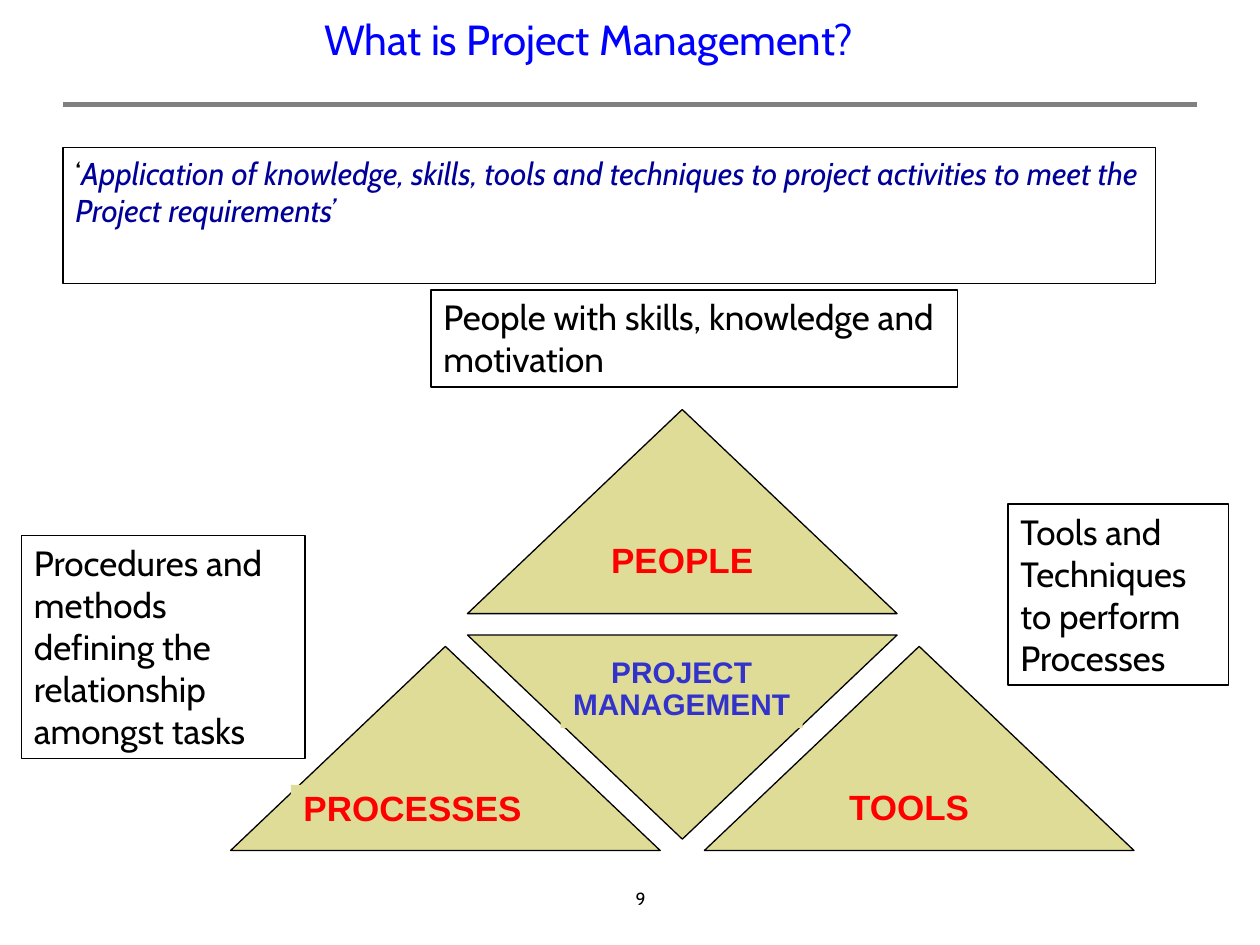
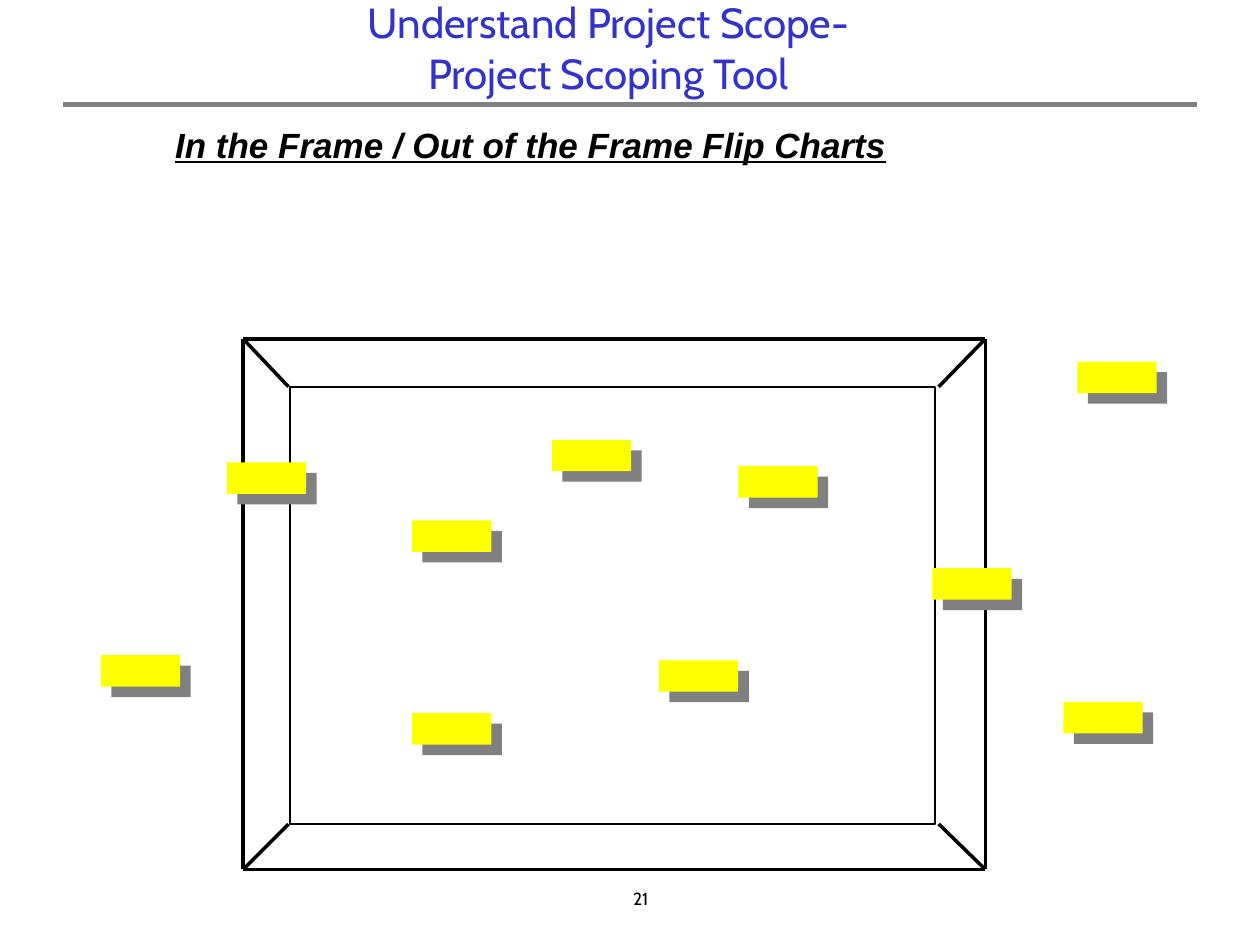
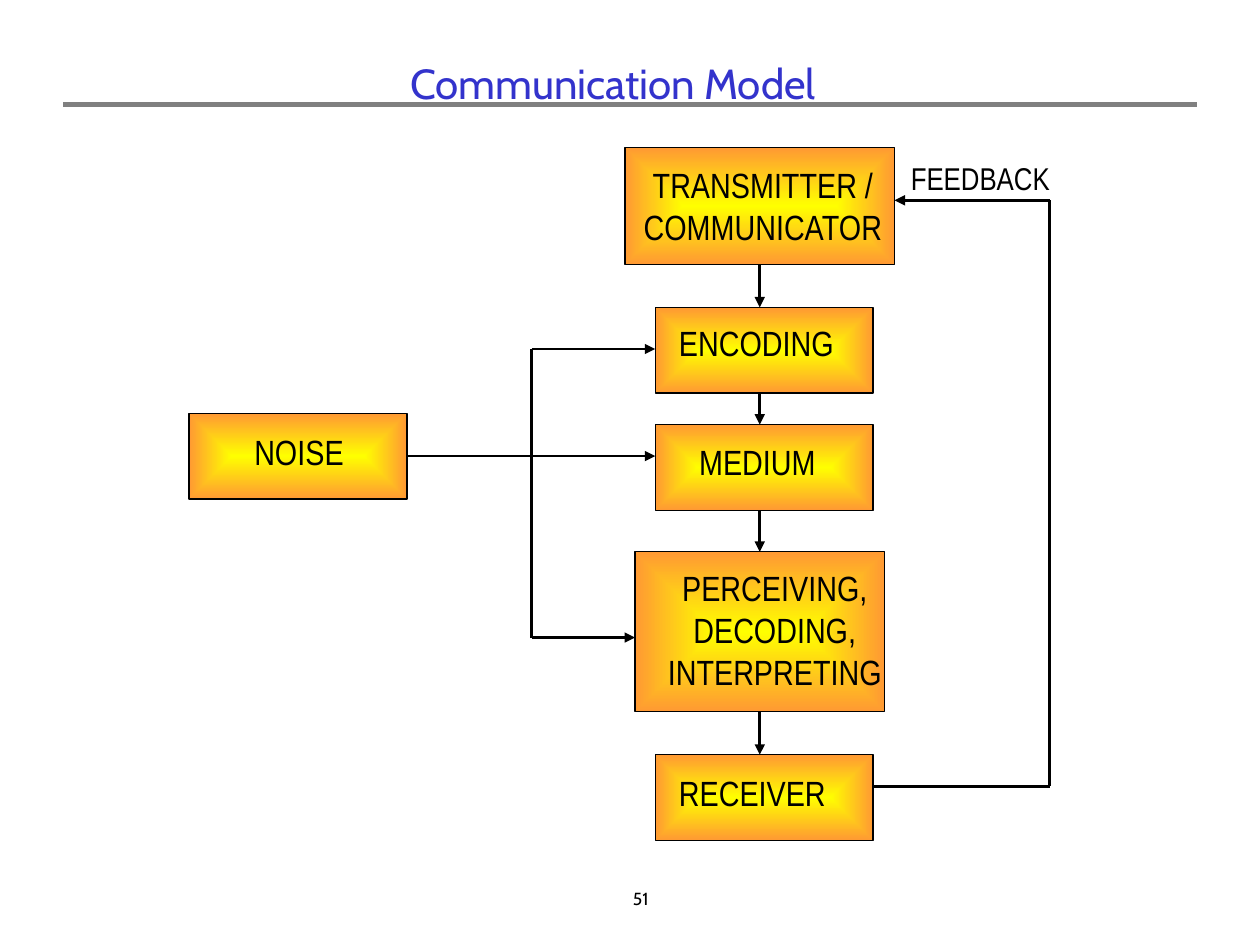
from itertools import pairwise, product

from lxml import etree
from pptx import Presentation
from pptx.dml.color import RGBColor
from pptx.enum.shapes import MSO_CONNECTOR, MSO_SHAPE
from pptx.enum.text import MSO_ANCHOR, MSO_AUTO_SIZE, PP_ALIGN
from pptx.oxml import parse_xml
from pptx.oxml.ns import nsdecls, qn
from pptx.util import Inches, Pt

COLS, ROWS = 10, 7.5
COLORS = {
    "ink": "000000", "rule": "808080", "title": "3333CC", "bright": "0000FF",
    "navy": "000099", "red": "FF0000", "sand": "DEDC96", "yellow": "FFFF00",
    "orange": "FF9933",
}
HEAD, SANS, NARROW = "Cabin", "Arial", "Arial Narrow"
CENTER = PP_ALIGN.CENTER


def color(name):
    return RGBColor.from_string(COLORS[name])


def grid(*cells):
    return [Inches(c) for c in cells]


def outline(shape, width, name="ink"):
    shape.line.color.rgb = color(name)
    shape.line.width = Pt(width)


def paint(shape, fill):
    shape.fill.solid()
    shape.fill.fore_color.rgb = color(fill)


def write(shape, text, size, font=HEAD, ink="ink", align=PP_ALIGN.LEFT,
          anchor=MSO_ANCHOR.TOP, wrap=True, grow=False, spacing=None,
          bold=None, italic=None, underline=None):
    tf = shape.text_frame
    tf.word_wrap = wrap
    tf.vertical_anchor = anchor
    tf.auto_size = MSO_AUTO_SIZE.SHAPE_TO_FIT_TEXT if grow else MSO_AUTO_SIZE.NONE
    p = tf.paragraphs[0]
    p.text = text
    p.alignment = align
    p.line_spacing = spacing
    f = p.font
    f.size, f.name, f.color.rgb = Pt(size), font, color(ink)
    f.bold, f.italic, f.underline = bold, italic, underline


def add_text(s, cells, text, size, **style):
    box = s.shapes.add_textbox(*grid(*cells))
    write(box, text, size, **style)
    return box


def add_label(s, cells, text, size=20, **style):
    return add_text(s, cells, text, size, wrap=False, grow=True, **style)


def add_note(s, cells, text):
    outline(add_text(s, cells, text, 20, grow=True), 1)


def add_box(s, cells, kind=MSO_SHAPE.RECTANGLE, fill=None, border=None):
    sp = s.shapes.add_shape(kind, *grid(*cells))
    sp.shadow.inherit = False
    if fill:
        paint(sp, fill)
    else:
        sp.fill.background()
    if border:
        outline(sp, border)
    else:
        sp.line.fill.background()
    return sp


def add_line(s, start, end, width, name="ink", arrow=False):
    line = s.shapes.add_connector(MSO_CONNECTOR.STRAIGHT, *grid(*start, *end))
    outline(line, width, name)
    if arrow:
        etree.SubElement(line.line._get_or_add_ln(), qn("a:tailEnd"), type="triangle")
    etree.SubElement(line._element.spPr, qn("a:effectLst"))


def add_path(s, points, width, arrow=False):
    legs = list(pairwise(points))
    for i, (start, end) in enumerate(legs, 1):
        add_line(s, start, end, width, arrow=arrow and i == len(legs))


def add_triangle(s, left, top):
    return add_box(s, (left, top, 3.41, 1.62), MSO_SHAPE.ISOSCELES_TRIANGLE, "sand", 0.75)


def add_sticky(s, left, top):
    sp = add_box(s, (left, top, 0.63, 0.25), fill="yellow")
    effects = sp._element.spPr.find(qn("a:effectLst"))
    effects.append(parse_xml(
        f'<a:outerShdw {nsdecls("a")} dist="{Pt(8.5)}" dir="2700000" algn="ctr" '
        f'rotWithShape="0"><a:srgbClr val="{COLORS["rule"]}"/></a:outerShdw>'))


def add_glow_box(s, cells):
    sp = add_box(s, cells, border=0.75)
    sp.fill.gradient()
    for stop, name in zip(sp.fill.gradient_stops, ("yellow", "orange")):
        stop.color.rgb = color(name)
    grad = sp._element.spPr.find(qn("a:gradFill"))
    grad.remove(grad.find(qn("a:lin")))
    grad.append(parse_xml(
        f'<a:path {nsdecls("a")} path="rect">'
        '<a:fillToRect l="50000" t="50000" r="50000" b="50000"/></a:path>'))


def add_slide(prs, number, title, cells, ink="title"):
    s = prs.slides.add_slide(prs.slide_layouts[6])
    add_line(s, (0.5, 0.83), (COLS - 0.5, 0.83), 3, "rule")
    add_text(s, (4.5, 7, 1.17, 0.33), str(number), 10, align=CENTER)
    add_text(s, cells, title, 24, ink=ink, align=CENTER, anchor=MSO_ANCHOR.MIDDLE)
    return s


def management_slide(prs):
    s = add_slide(prs, 9, "What is Project Management?", (0.66, 0.06, 8.02, 0.5), "bright")
    definition = add_text(s, (0.5, 1.17, 8.67, 1.08), "‘", 18)
    outline(definition, 0.75)
    r = definition.text_frame.paragraphs[0].add_run()
    r.text = ("Application of knowledge, skills, tools and techniques to project "
              "activities to meet the Project requirements’")
    r.font.italic = True
    r.font.color.rgb = color("navy")

    caption = dict(font=SANS, bold=True, spacing=0.9)
    people = add_triangle(s, 3.71, 3.25)
    write(people, "PEOPLE", 20, ink="red", align=CENTER,
          anchor=MSO_ANCHOR.MIDDLE, wrap=False, **caption)
    add_triangle(s, 3.71, 5.04).rotation = 180
    for left in (5.59, 1.83):
        add_triangle(s, left, 5.13)
    for cells, text, size, ink, align in (
        ((2.31, 6.23, 1.93, 0.4), "PROCESSES", 20, "red", PP_ALIGN.LEFT),
        ((6.64, 6.22, 1.16, 0.4), "TOOLS", 20, "red", PP_ALIGN.LEFT),
        ((4.45, 5.17, 1.92, 0.61), "PROJECT\nMANAGEMENT", 17, "title", CENTER),
    ):
        paint(add_label(s, cells, text, size, ink=ink, align=align, **caption), "sand")

    add_note(s, (3.42, 2.3, 4.18, 0.77), "People with skills, knowledge and motivation")
    add_note(s, (0.17, 4.25, 2.25, 1.77),
             "Procedures and methods defining the relationship amongst tasks")
    add_note(s, (8, 4, 1.75, 1.44), "Tools and Techniques to perform Processes")


def scope_slide(prs):
    s = add_slide(prs, 21, "Understand Project Scope-\nProject Scoping Tool",
                  (0.33, 0, 9, 0.75))
    heading = add_label(s, (1.32, 1, 5.85, 0.34),
                        "In the Frame / Out of the Frame Flip Charts", font=SANS,
                        spacing=0.85, bold=True, italic=True, underline=True)
    tf = heading.text_frame
    tf.margin_left = tf.margin_right = Inches(0.07)
    tf.margin_top = tf.margin_bottom = Inches(0.03)

    add_box(s, (2.3, 3.07, 5.12, 3.47), border=1)
    left, top, right, bottom = 1.93, 2.69, 7.82, 6.9
    add_path(s, [(left, top), (right, top), (right, bottom), (left, bottom), (left, top)], 2)
    outer = product((left, right), (top, bottom))
    inner = product((2.29, 7.45), (3.07, 6.54))
    for start, end in zip(outer, inner):
        add_line(s, start, end, 2)

    for spot in ((3.27, 4.13), (5.23, 5.24), (5.86, 3.7), (8.44, 5.57), (8.55, 2.87),
                 (1.8, 3.67), (7.4, 4.51), (3.27, 5.66), (0.8, 5.2), (4.38, 3.49)):
        add_sticky(s, *spot)


def communication_slide(prs):
    s = add_slide(prs, 51, "Communication Model", (0.55, 0.33, 8.63, 0.65))
    axis, bus, feedback = 6.03, 4.22, 8.33
    left, width, height = 5.2, 1.73, 0.68
    stages = (
        ("TRANSMITTER /\nCOMMUNICATOR", (4.96, 1.17, 2.14, 0.93), (5, 1.25, 2.11, 0.77)),
        ("ENCODING", (left, 2.44, width, height), (5.29, 2.5, 1.45, 0.44)),
        ("MEDIUM", (left, 3.37, width, height), (5.45, 3.45, 1.15, 0.44)),
        ("PERCEIVING,\nDECODING,\nINTERPRETING", (5.04, 4.38, 1.98, 1.27), (5.2, 4.45, 1.9, 1.1)),
        ("RECEIVER", (left, 5.99, width, height), (5.29, 6.07, 1.4, 0.44)),
    )
    noise = ("NOISE", (1.5, 3.28, width, height), (1.92, 3.37, 0.93, 0.44))
    for text, box, label in (noise, *stages):
        add_glow_box(s, box)
        align = CENTER if "\n" in text else PP_ALIGN.LEFT
        add_label(s, label, text, font=NARROW, align=align)

    for (_, upper, _), (_, lower, _) in pairwise(stages):
        add_line(s, (axis, upper[1] + upper[3]), (axis, lower[1]), 1.5, arrow=True)
    add_line(s, (3.23, 3.62), (left, 3.62), 1.5, arrow=True)
    add_line(s, (bus, 2.77), (bus, 5.06), 1.5)
    for end in ((left, 2.77), (5.04, 5.06)):
        add_line(s, (bus, end[1]), end, 1.5, arrow=True)
    add_path(s, [(left + width, 6.24), (feedback, 6.24), (feedback, 1.59), (7.1, 1.59)],
             1.5, arrow=True)
    add_label(s, (7.13, 1.21, 1.35, 0.4), "FEEDBACK", 18, font=NARROW)


def main():
    prs = Presentation()
    prs.slide_width, prs.slide_height = grid(COLS, ROWS)
    management_slide(prs)
    scope_slide(prs)
    communication_slide(prs)
    prs.save("out.pptx")


if __name__ == "__main__":
    main()
